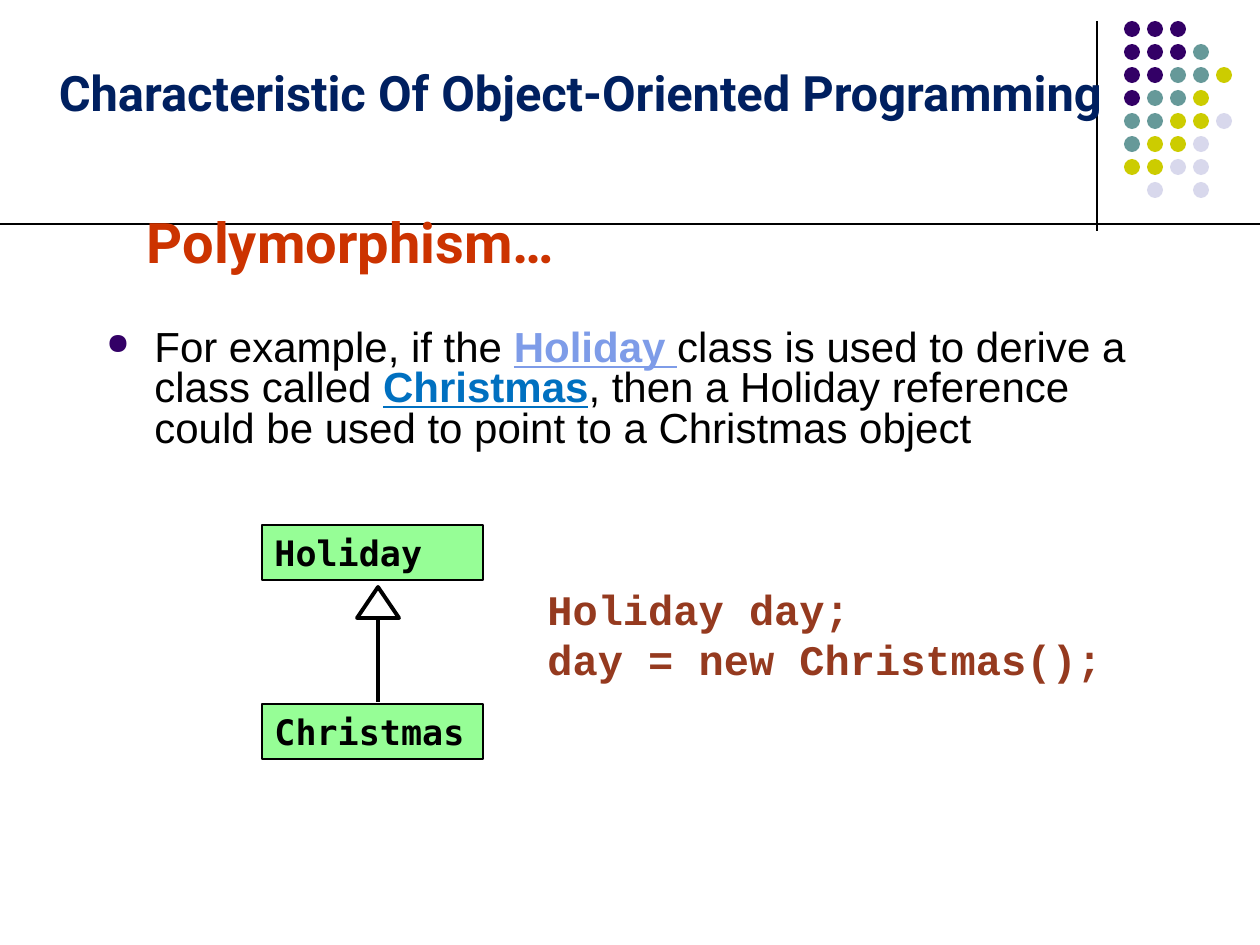
from typing import NamedTuple

from lxml.etree import SubElement
from pptx import Presentation
from pptx.dml.color import RGBColor
from pptx.enum.shapes import MSO_CONNECTOR, MSO_SHAPE
from pptx.enum.text import MSO_ANCHOR, PP_ALIGN
from pptx.oxml.ns import qn
from pptx.util import Emu, Pt

BLACK = RGBColor(0x00, 0x00, 0x00)
WHITE = RGBColor(0xFF, 0xFF, 0xFF)
PURPLE = RGBColor(0x33, 0x00, 0x66)
TEAL = RGBColor(0x66, 0x99, 0x99)
OLIVE = RGBColor(0xCC, 0xCC, 0x00)
LAVENDER = RGBColor(0xD8, 0xD8, 0xEC)
GREEN = RGBColor(0x96, 0xFE, 0x96)
NAVY = RGBColor(0x00, 0x20, 0x60)
RED = RGBColor(0xCC, 0x33, 0x00)
BROWN = RGBColor(0x95, 0x3A, 0x1F)
PALE_BLUE = RGBColor(0x7E, 0x9C, 0xE8)
BLUE = RGBColor(0x00, 0x70, 0xC0)

DOT_COLORS = {"P": PURPLE, "T": TEAL, "O": OLIVE, "L": LAVENDER}
DOT_ROWS = ["PPP", "PPPT", "PPTTO", "PTTO", "TTOOL", "TOOL", "OOLL", ".L.L"]
DOT_X, DOT_Y, DOT_SIZE, DOT_STEP = 1124, 21, 16, 23


class Box(NamedTuple):
    x: int
    y: int
    w: int
    h: int


class Line(NamedTuple):
    x1: int
    y1: int
    x2: int
    y2: int
    width: float


class ClassBox(NamedTuple):
    name: str
    box: Box


DIVIDERS = [Line(1097, 21, 1097, 231, 0.75), Line(0, 224, 1260, 224, 0.75)]
ARROW_SHAFT = Line(378, 702, 378, 618, 2.25)
ARROW_HEAD = Box(357, 587, 42, 31)
CLASSES = [
    ClassBox("Holiday", Box(262, 525, 221, 55)),
    ClassBox("Christmas", Box(262, 704, 221, 55)),
]

HEADING_FONT = {"name": "Roboto", "size": Pt(27.9), "bold": True}
TITLE_FONT = {"name": "Roboto", "size": Pt(32), "bold": True}
BODY_FONT = {"name": "Arial", "size": Pt(24)}
LINK_FONT = BODY_FONT | {"bold": True, "underline": True}
CODE_FONT = {"name": "Courier New", "size": Pt(24), "bold": True}
CLASS_FONT = {"name": "DejaVu Sans Mono", "size": Pt(20), "bold": True}

BODY_RUNS = [
    ("For example, if the ", BODY_FONT, BLACK),
    ("Holiday ", LINK_FONT, PALE_BLUE),
    ("class is used to derive a class called ", BODY_FONT, BLACK),
    ("Christmas", LINK_FONT, BLUE),
    (", then a Holiday reference could be used to point to a Christmas object",
     BODY_FONT, BLACK),
]


def px(n: int) -> Emu:
    return Emu(round(n * 914400 / 126))


def add_run(p, text: str, font: dict, color: RGBColor) -> None:
    r = p.add_run()
    r.text = text
    for key, value in font.items():
        setattr(r.font, key, value)
    r.font.color.rgb = color


def add_text_box(s, box: Box, wrap: bool = True):
    tf = s.shapes.add_textbox(*map(px, box)).text_frame
    tf.word_wrap = wrap
    return tf


def add_shape(s, kind: MSO_SHAPE, box: Box, fill: RGBColor, line: float = 0):
    sp = s.shapes.add_shape(kind, *map(px, box))
    sp.shadow.inherit = False
    sp.fill.solid()
    sp.fill.fore_color.rgb = fill
    if line:
        sp.line.color.rgb = BLACK
        sp.line.width = Pt(line)
    else:
        sp.line.fill.background()
    return sp


def add_line(s, line: Line) -> None:
    cxn = s.shapes.add_connector(MSO_CONNECTOR.STRAIGHT, *map(px, line[:4]))
    cxn.line.color.rgb = BLACK
    cxn.line.width = Pt(line.width)
    SubElement(cxn._element.spPr, qn("a:effectLst"))


def add_class_box(s, item: ClassBox) -> None:
    tf = add_shape(s, MSO_SHAPE.RECTANGLE, item.box, GREEN, 1).text_frame
    tf.vertical_anchor = MSO_ANCHOR.MIDDLE
    p = tf.paragraphs[0]
    p.alignment = PP_ALIGN.LEFT
    add_run(p, item.name, CLASS_FONT, BLACK)


def add_bullet(p, indent: int) -> None:
    pPr = p._p.get_or_add_pPr()
    pPr.set("marL", str(px(indent)))
    pPr.set("indent", str(-px(indent)))
    color = SubElement(pPr, qn("a:buClr"))
    SubElement(color, qn("a:srgbClr"), val=str(PURPLE))
    SubElement(pPr, qn("a:buSzPct"), val="70000")
    SubElement(pPr, qn("a:buChar"), char="●")


def main() -> None:
    prs = Presentation()
    prs.slide_width, prs.slide_height = px(1260), px(945)
    s = prs.slides.add_slide(prs.slide_layouts[5])

    # Divider lines and corner dots
    for line in DIVIDERS:
        add_line(s, line)
    for row, codes in enumerate(DOT_ROWS):
        for col, code in enumerate(codes):
            if code in DOT_COLORS:
                box = Box(DOT_X + col * DOT_STEP, DOT_Y + row * DOT_STEP,
                          DOT_SIZE, DOT_SIZE)
                add_shape(s, MSO_SHAPE.OVAL, box, DOT_COLORS[code])

    # Body bullet
    p = add_text_box(s, Box(94, 324, 1081, 466)).paragraphs[0]
    p.line_spacing = 0.8
    add_bullet(p, 48)
    for run in BODY_RUNS:
        add_run(p, *run)

    # Code sample
    tf = add_text_box(s, Box(535, 577, 580, 113), wrap=False)
    add_run(tf.paragraphs[0], "Holiday day;", CODE_FONT, BROWN)
    add_run(tf.add_paragraph(), "day = new Christmas();", CODE_FONT, BROWN)

    # Inheritance diagram
    add_line(s, ARROW_SHAFT)
    add_shape(s, MSO_SHAPE.ISOSCELES_TRIANGLE, ARROW_HEAD, WHITE, 2.25)
    for item in CLASSES:
        add_class_box(s, item)

    # Heading above the divider
    tf = add_text_box(s, Box(45, 29, 1071, 136))
    tf.vertical_anchor = MSO_ANCHOR.MIDDLE
    p = tf.paragraphs[0]
    p.alignment = PP_ALIGN.CENTER
    p.line_spacing = 0.8
    add_run(p, "Characteristic Of Object-Oriented Programming", HEADING_FONT, NAVY)

    # Title, in front of the divider
    title = s.shapes.title
    title.left, title.top, title.width, title.height = map(px, (134, 189, 930, 105))
    title.text_frame.vertical_anchor = MSO_ANCHOR.MIDDLE
    p = title.text_frame.paragraphs[0]
    p.alignment = PP_ALIGN.LEFT
    add_run(p, "Polymorphism…", TITLE_FONT, RED)
    s.shapes._spTree.append(title._element)

    prs.save("out.pptx")


if __name__ == "__main__":
    main()
